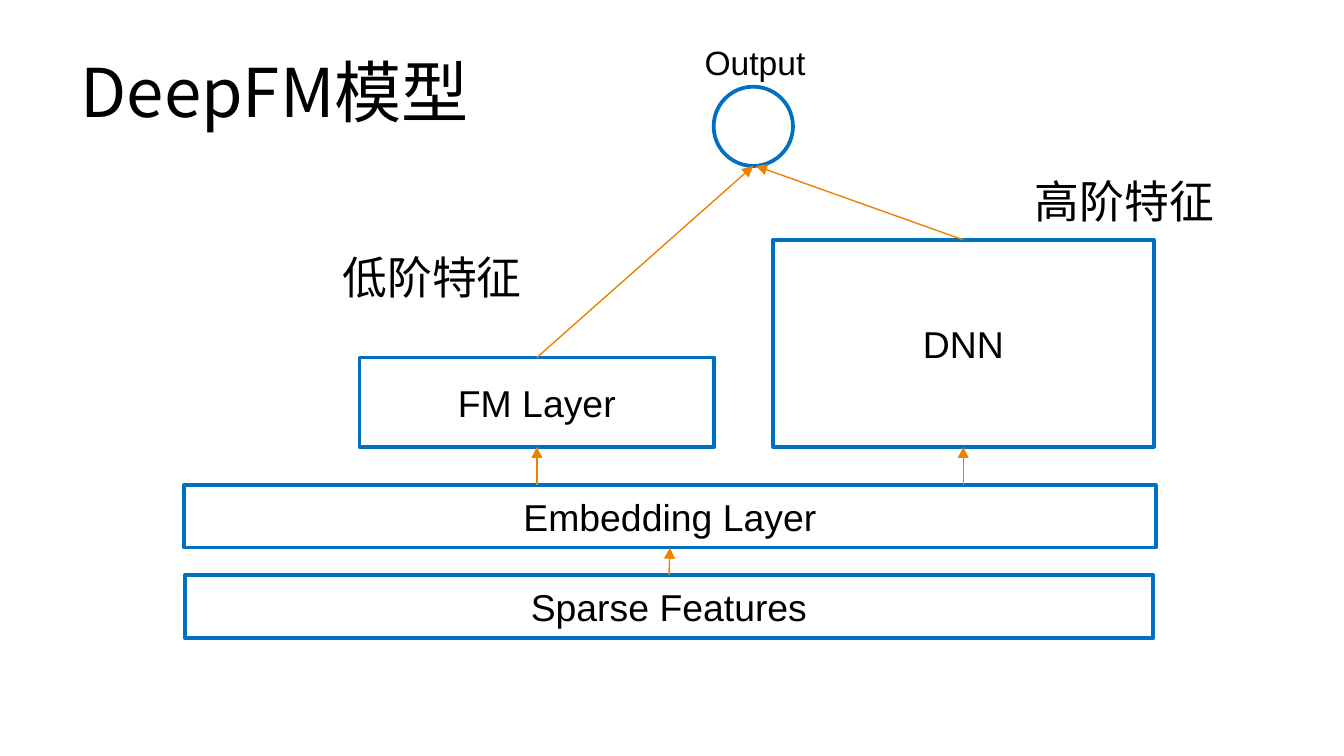
from dataclasses import dataclass

from lxml.etree import SubElement
from pptx import Presentation
from pptx.dml.color import RGBColor
from pptx.enum.shapes import MSO_CONNECTOR as Connector, MSO_SHAPE as Shape
from pptx.enum.text import MSO_ANCHOR as Anchor, MSO_AUTO_SIZE as AutoSize, PP_ALIGN as Align
from pptx.oxml.ns import qn
from pptx.util import Pt

PX = 4572
TOP, BOTTOM = 0, 2


@dataclass(frozen=True)
class Theme:
    """Colours, fonts, type sizes and line widths of the slide."""
    paper: RGBColor = RGBColor(255, 255, 255)
    ink: RGBColor = RGBColor(0, 0, 0)
    outline: RGBColor = RGBColor(0, 112, 192)
    arrow: RGBColor = RGBColor(237, 129, 0)
    latin: str = "Arial"
    chinese: str = "Noto Sans CJK SC"
    title_size: int = 36
    layer_size: int = 20
    output_size: int = 18
    feature_size: int = 24
    outline_width: float = 2
    arrow_width: float = 0.75


THEME = Theme()


def apply(target, values):
    """Set every attribute in a dict of format values."""
    for name, value in values.items():
        setattr(target, name, value)


def scaled(box, origin=(0, 0)):
    """Turn a px box relative to an origin into EMU."""
    left, top, width, height = box
    return [n * PX for n in (left + origin[0], top + origin[1], width, height)]


def write(holder, text, size, font=THEME.latin, frame_format=None, paragraph_format=None):
    """Fill a shape with one formatted paragraph."""
    frame = holder.text_frame
    apply(frame, frame_format or {})
    paragraph = frame.paragraphs[0]
    apply(paragraph, paragraph_format or {})
    run = paragraph.add_run()
    run.text = text
    apply(run.font, {"name": font, "size": Pt(size)})
    run.font.color.rgb = THEME.ink
    SubElement(run.font._element, qn("a:ea"), typeface=THEME.chinese)


def add_title(slide, box, text):
    """Place the slide title in its placeholder."""
    title = slide.shapes.title
    apply(title, dict(zip(("left", "top", "width", "height"), scaled(box))))
    write(title, text, THEME.title_size, THEME.chinese,
          {"vertical_anchor": Anchor.MIDDLE, "auto_size": AutoSize.NONE},
          {"alignment": Align.LEFT, "line_spacing": 1.1})


def add_node(slide, origin, box, text="", kind=Shape.RECTANGLE):
    """Draw an outlined network node with an optional centred name."""
    node = slide.shapes.add_shape(kind, *scaled(box, origin))
    node.shadow.inherit = False
    node.fill.solid()
    node.fill.fore_color.rgb = THEME.paper
    node.line.color.rgb = THEME.outline
    node.line.width = Pt(THEME.outline_width)
    if text:
        write(node, text, THEME.layer_size,
              frame_format={"vertical_anchor": Anchor.MIDDLE},
              paragraph_format={"alignment": Align.CENTER})
    return node


def add_label(slide, origin, box, text, size):
    """Place a free label that does not wrap."""
    label = slide.shapes.add_textbox(*scaled(box, origin))
    write(label, text, size,
          frame_format={"word_wrap": False, "auto_size": AutoSize.SHAPE_TO_FIT_TEXT})


def add_arrow(slide, start, end):
    """Draw an arrow between two EMU points."""
    arrow = slide.shapes.add_connector(Connector.STRAIGHT, *start, *end)
    arrow.line.color.rgb = THEME.arrow
    arrow.line.width = Pt(THEME.arrow_width)
    SubElement(arrow.line._get_or_add_ln(), qn("a:tailEnd"), type="triangle")
    SubElement(arrow._element.spPr, qn("a:effectLst"))
    return arrow


def middle(node):
    """Return the horizontal centre of a node."""
    return node.left + node.width // 2


def add_network(slide, origin):
    """Draw the DeepFM network relative to its top left corner."""
    fm = add_node(slide, origin, (261, 480, 528, 133), "FM Layer")
    dnn = add_node(slide, origin, (876, 305, 567, 308), "DNN")
    output = add_node(slide, origin, (788, 77, 118, 118), kind=Shape.OVAL)
    embedding = add_node(slide, origin, (0, 670, 1446, 93), "Embedding Layer")
    sparse = add_node(slide, origin, (1, 804, 1441, 94), "Sparse Features")

    output_foot = output.top + output.height
    for branch, offset in ((fm, 0), (dnn, 4)):
        x = middle(branch)
        rising = add_arrow(slide, (x, branch.top),
                           (middle(output) + offset * PX, output_foot))
        rising.begin_connect(branch, TOP)
        feeding = add_arrow(slide, (x, embedding.top), (x, branch.top + branch.height))
        feeding.end_connect(branch, BOTTOM)

    lookup = add_arrow(slide, (middle(sparse), sparse.top),
                       (middle(embedding), embedding.top + embedding.height))
    lookup.begin_connect(sparse, TOP)
    lookup.end_connect(embedding, BOTTOM)

    add_label(slide, origin, (755, 0, 192, 80), "Output", THEME.output_size)
    for left, top, feature in ((216, 310, "低阶特征"), (1246, 196, "高阶特征")):
        add_label(slide, origin, (left, top, 310, 100), feature, THEME.feature_size)


def main():
    """Build and save the DeepFM slide."""
    deck = Presentation()
    apply(deck, {"slide_width": 2000 * PX, "slide_height": 1125 * PX})
    slide = deck.slides.add_slide(deck.slide_layouts.get_by_name("Title Only"))
    add_title(slide, (100, 50, 1800, 158), "DeepFM模型")
    add_network(slide, (274, 52))
    deck.save("out.pptx")


if __name__ == "__main__":
    main()
